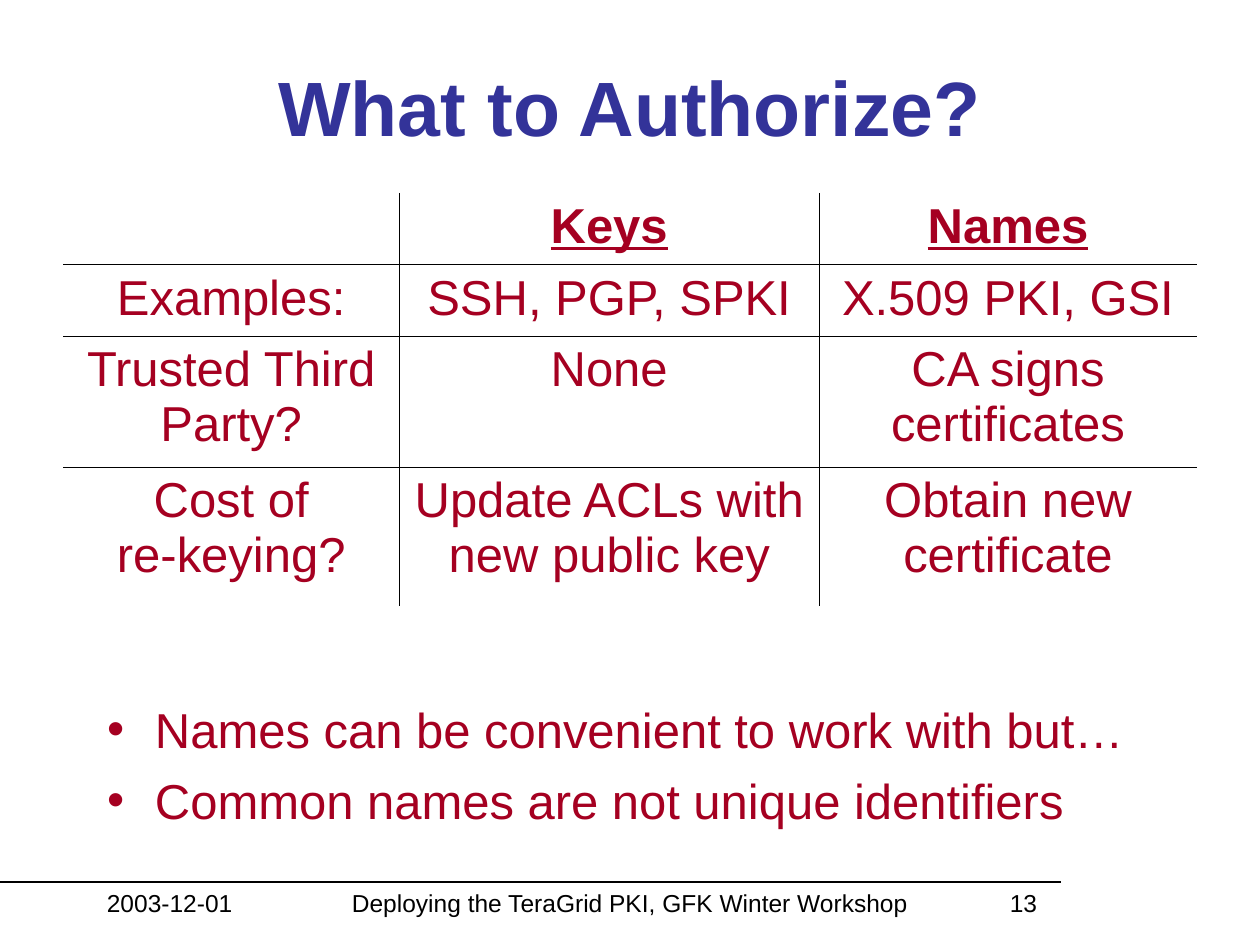
from lxml import etree
from pptx import Presentation
from pptx.dml.color import RGBColor
from pptx.enum.shapes import MSO_CONNECTOR as Conn
from pptx.enum.text import MSO_ANCHOR as Anchor, MSO_AUTO_SIZE as Auto, PP_ALIGN as Align
from pptx.oxml.ns import qn
from pptx.util import Inches, Pt

BLUE = RGBColor(0x33, 0x33, 0x99)
RED = RGBColor(0xA5, 0x00, 0x21)
BLACK = RGBColor(0x00, 0x00, 0x00)


class Deck:
    face = "Arial"

    def __init__(self, wide, high):
        self.prs = Presentation()
        self.prs.slide_width, self.prs.slide_height = Inches(wide), Inches(high)
        self.slide = self.prs.slides.add_slide(self.prs.slide_layouts[1])

    def style(self, para, size, color, bold=False, line=False, align=Align.LEFT):
        para.alignment = align
        for run in para.runs:
            font = run.font
            font.name, font.size, font.color.rgb = self.face, Pt(size), color
            font.bold, font.underline = bold, line

    def place(self, shape, box):
        shape.left, shape.top, shape.width, shape.height = map(Inches, box)
        frame = shape.text_frame
        frame.word_wrap, frame.auto_size = True, Auto.NONE
        return frame

    def title(self, text, box):
        frame = self.place(self.slide.shapes.title, box)
        frame.text = text
        frame.vertical_anchor = Anchor.MIDDLE
        self.style(frame.paragraphs[0], 44, BLUE, bold=True, align=Align.CENTER)

    def bullets(self, items, box):
        frame = self.place(self.slide.placeholders[1], box)
        frame.text = "\n".join(items)
        for i, para in enumerate(frame.paragraphs):
            props = para._p.get_or_add_pPr()
            props.set("marL", str(Inches(0.38)))
            props.set("indent", str(-Inches(0.38)))
            tint = etree.SubElement(props, qn("a:buClr"))
            etree.SubElement(tint, qn("a:srgbClr")).set("val", str(RED))
            etree.SubElement(props, qn("a:buChar")).set("char", "•")
            para.space_before = Pt(7 if i else 0)
            self.style(para, 28, RED)

    def border(self, cell, side, shown):
        edge = etree.SubElement(cell._tc.get_or_add_tcPr(), qn("a:ln" + side))
        edge.set("w", str(Pt(0.45)))
        if shown:
            fill = etree.SubElement(edge, qn("a:solidFill"))
            etree.SubElement(fill, qn("a:srgbClr")).set("val", str(BLACK))
        else:
            etree.SubElement(edge, qn("a:noFill"))

    def table(self, data, left, top, widths, heights):
        rows, cols = len(heights), len(widths)
        area = map(Inches, (left, top, sum(widths), sum(heights)))
        grid = self.slide.shapes.add_table(rows, cols, *area).table
        grid.first_row = grid.horz_banding = False
        for col, width in zip(grid.columns, widths):
            col.width = Inches(width)
        for r, (row, height) in enumerate(zip(grid.rows, heights)):
            row.height = Inches(height)
            for c, cell in enumerate(row.cells):
                cell.text = data[r][c]
                for side, shown in (("L", c > 0), ("R", c < cols - 1),
                                    ("T", r > 0), ("B", r < rows - 1)):
                    self.border(cell, side, shown)
                cell.fill.background()
                head = r == 0
                self.style(cell.text_frame.paragraphs[0], 28, RED, head, head, Align.CENTER)

    def line(self, start, end):
        rule = self.slide.shapes.add_connector(Conn.STRAIGHT, *map(Inches, start + end))
        rule.line.color.rgb, rule.line.width = BLACK, Pt(0.75)
        etree.SubElement(rule._element.spPr, qn("a:effectLst"))

    def label(self, text, box, align):
        frame = self.place(self.slide.shapes.add_textbox(0, 0, 0, 0), box)
        frame.text = text
        self.style(frame.paragraphs[0], 14, BLACK, align=align)

    def save(self):
        self.prs.save("out.pptx")


def main():
    deck = Deck(10, 7.5)
    deck.line((8.42, 7), (0, 7))
    deck.title("What to Authorize?", (0, 0.42, 10, 0.83))
    deck.table([
        ("", "Keys", "Names"),
        ("Examples:", "SSH, PGP, SPKI", "X.509 PKI, GSI"),
        ("Trusted Third Party?", "None", "CA signs certificates"),
        ("Cost of\vre-keying?", "Update ACLs with new public key", "Obtain new certificate"),
    ], 0.5, 1.53, (2.67, 3.33, 3), (0.57, 0.57, 1.04, 1.1))
    deck.bullets([
        "Names can be convenient to work with but…",
        "Common names are not unique identifiers",
    ], (0.75, 5.5, 8.5, 1.5))
    deck.label("Deploying the TeraGrid PKI, GFK Winter Workshop", (2.5, 7, 5, 0.27), Align.CENTER)
    deck.label("13", (7.75, 7, 0.58, 0.33), Align.RIGHT)
    deck.label("2003-12-01", (0.75, 7, 1.5, 0.33), Align.LEFT)
    deck.save()


if __name__ == "__main__":
    main()
